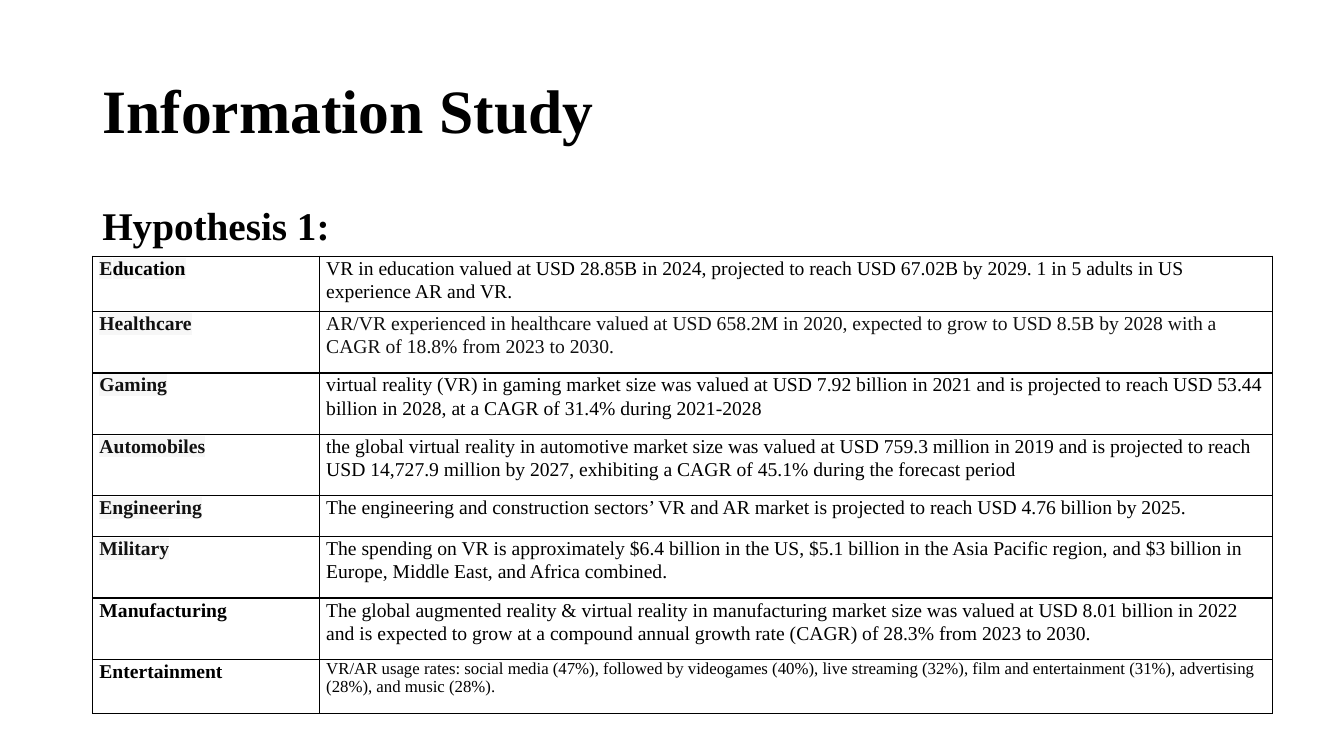
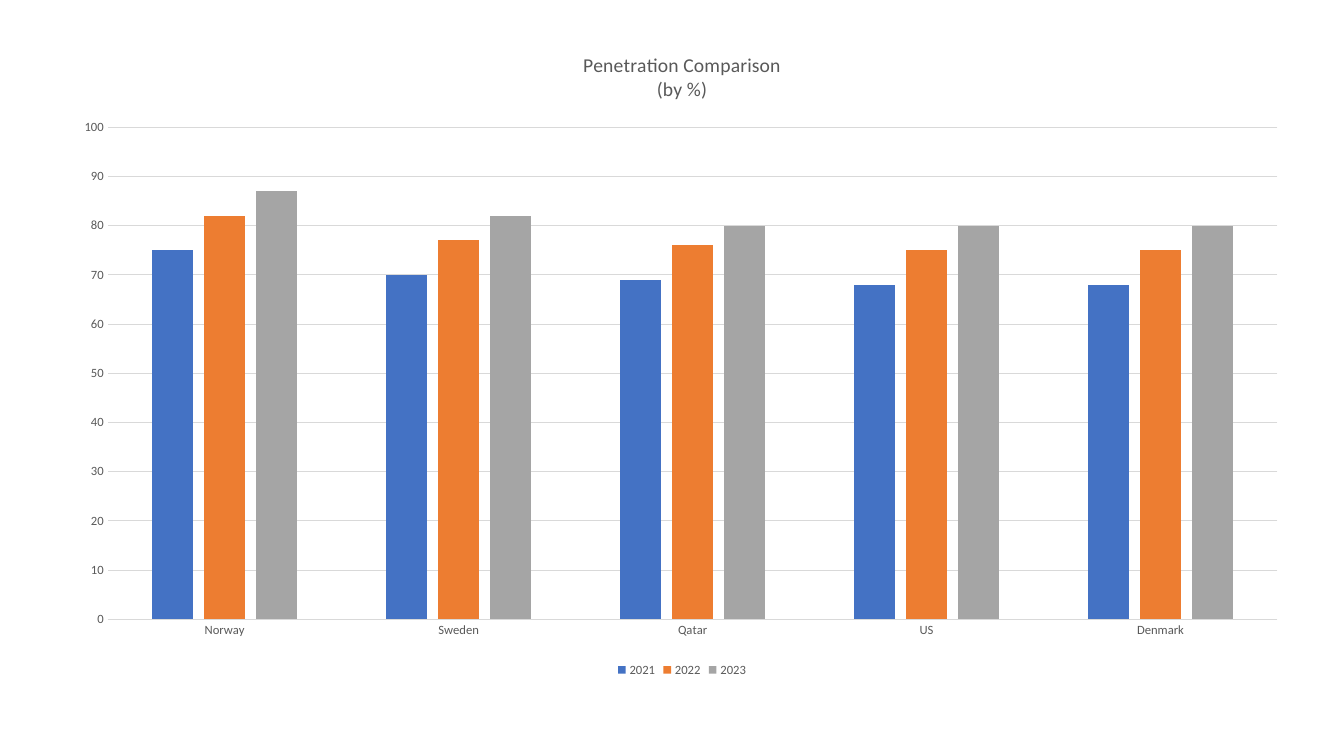
from dataclasses import dataclass

from lxml import etree
from pptx import Presentation
from pptx.chart.data import CategoryChartData
from pptx.dml.color import RGBColor
from pptx.enum.chart import XL_CHART_TYPE, XL_LEGEND_POSITION, XL_TICK_MARK
from pptx.enum.text import MSO_ANCHOR, PP_ALIGN
from pptx.oxml.ns import qn
from pptx.util import Emu, Inches, Pt

COLUMNS, ROWS = 160, 90
UNIT = Inches(7.5) // ROWS
TITLE_ONLY, BLANK = 5, 6
LEFT, MIDDLE = PP_ALIGN.LEFT, MSO_ANCHOR.MIDDLE
CLUSTERED = XL_CHART_TYPE.COLUMN_CLUSTERED
BOTTOM = XL_LEGEND_POSITION.BOTTOM
NO_TICK = XL_TICK_MARK.NONE
SERIF, SANS = "Times New Roman", "Calibri"
BLACK, INK, PALE = "000000", "111111", "F7F7F7"
GREY, RULE = "595959", "D9D9D9"


@dataclass(frozen=True)
class Box:
    left: float
    top: float
    width: float
    height: float

    def emu(self) -> tuple[Emu, ...]:
        return tuple(grid(n) for n in (self.left, self.top, self.width, self.height))


@dataclass(frozen=True)
class Style:
    size: float
    color: str = BLACK
    bold: bool = False
    highlight: str = ""
    font: str = SERIF


@dataclass(frozen=True)
class Sector:
    label: list[tuple[str, Style]]
    finding: str
    height: float = 7.3
    style: Style = Style(14)
    line: float = 1.07
    after: float = 8


@dataclass(frozen=True)
class Year:
    name: str
    values: tuple[float, ...]
    color: str


TITLE_BOX = Box(11, 4.8, 138, 17.4)
HYPOTHESIS_BOX = Box(11, 24, 138, 6.5)
TABLE_LEFT, TABLE_TOP = 11, 30.5
TABLE_COLUMNS = (27, 113.5)
CHART_BOX = Box(7.2, 3.6, 148, 77.5)
PLOT_SHARES = {"x": 0.038, "y": 0.149, "w": 0.941, "h": 0.756}

MARKED = Style(14, INK, True, PALE)
PLAIN = Style(14, BLACK, True)

SECTORS = [
    Sector([("E", MARKED), ("ducation", Style(14, BLACK, True, PALE))],
           "VR in education valued at USD 28.85B in 2024, projected to reach USD 67.02B by 2029. "
           "1 in 5 adults in US experience AR and VR.", 6.6),
    Sector([("Healthcare", MARKED)],
           "AR/VR experienced in healthcare valued at USD 658.2M in 2020, expected to grow to "
           "USD 8.5B by 2028 with a CAGR of 18.8% from 2023 to 2030.", style=Style(14, INK)),
    Sector([("Gaming", MARKED)],
           "virtual reality (VR) in gaming market size was valued at USD 7.92 billion in 2021 and "
           "is projected to reach USD 53.44 billion in 2028, at a CAGR of 31.4% during 2021-2028"),
    Sector([("Automobiles", MARKED)],
           "the global virtual reality in automotive market size was valued at USD 759.3 million "
           "in 2019 and is projected to reach USD 14,727.9 million by 2027, exhibiting a CAGR of "
           "45.1% during the forecast period"),
    Sector([("Engineering", MARKED)],
           "The engineering and construction sectors’ VR and AR market is projected to reach "
           "USD 4.76 billion by 2025.", 4.9),
    Sector([("Military", MARKED)],
           "The spending on VR is approximately $6.4 billion in the US, $5.1 billion in the Asia "
           "Pacific region, and $3 billion in Europe, Middle East, and Africa combined."),
    Sector([("Manufacturing", PLAIN)],
           "The global augmented reality & virtual reality in manufacturing market size was valued "
           "at USD 8.01 billion in 2022 and is expected to grow at a compound annual growth rate "
           "(CAGR) of 28.3% from 2023 to 2030."),
    Sector([("Entertainment", PLAIN)],
           "VR/AR usage rates: social media (47%), followed by videogames (40%), live streaming "
           "(32%), film and entertainment (31%), advertising (28%), and music (28%).",
           6.4, Style(12), 1, 0),
]

COUNTRIES = ["Norway", "Sweden", "Qatar", "US", "Denmark"]
YEARS = [
    Year("2021", (75, 70, 69, 68, 68), "4472C4"),
    Year("2022", (82, 77, 76, 75, 75), "ED7D31"),
    Year("2023", (87, 82, 80, 80, 80), "A5A5A5"),
]


def grid(n: float) -> Emu:
    return Emu(round(n * UNIT))


def rgb(color: str) -> RGBColor:
    return RGBColor.from_string(color)


def set_font(font, style: Style) -> None:
    font.name, font.size, font.bold = style.font, Pt(style.size), style.bold
    font.color.rgb = rgb(style.color)


def add_run(p, text: str, style: Style) -> None:
    r = p.add_run()
    r.text = text
    set_font(r.font, style)
    if style.highlight:
        mark = etree.Element(qn("a:highlight"))
        etree.SubElement(mark, qn("a:srgbClr"), val=style.highlight)
        r.font._element.find(qn("a:solidFill")).addnext(mark)


def add_heading(sp, box: Box, text: str, size: float) -> None:
    sp.left, sp.top, sp.width, sp.height = box.emu()
    tf = sp.text_frame
    tf.word_wrap = True
    p = tf.paragraphs[0]
    p.alignment, p.line_spacing = LEFT, 0.9
    add_run(p, text, Style(size, bold=True))


def set_borders(cell, color: str, points: float) -> None:
    tc_pr = cell._tc.get_or_add_tcPr()
    for side in ("lnL", "lnR", "lnT", "lnB"):
        ln = etree.SubElement(tc_pr, qn(f"a:{side}"), w=str(Pt(points)))
        fill = etree.SubElement(ln, qn("a:solidFill"))
        etree.SubElement(fill, qn("a:srgbClr"), val=color)


def fill_cell(cell, runs: list[tuple[str, Style]], line: float, after: float) -> None:
    cell.margin_left = cell.margin_right = Inches(0.07)
    cell.margin_top = cell.margin_bottom = 0
    set_borders(cell, BLACK, 1)
    cell.fill.background()
    p = cell.text_frame.paragraphs[0]
    p.line_spacing, p.space_after = line, Pt(after)
    for text, style in runs:
        add_run(p, text, style)


def add_sector_table(s) -> None:
    box = Box(TABLE_LEFT, TABLE_TOP, sum(TABLE_COLUMNS), sum(x.height for x in SECTORS))
    table = s.shapes.add_table(len(SECTORS), len(TABLE_COLUMNS), *box.emu()).table
    table.first_row = table.horz_banding = False
    for column, width in zip(table.columns, TABLE_COLUMNS):
        column.width = grid(width)
    for row, sector in zip(table.rows, SECTORS):
        row.height = grid(sector.height)
        fill_cell(row.cells[0], sector.label, 1.07, 8)
        fill_cell(row.cells[1], [(sector.finding, sector.style)], sector.line, sector.after)


def set_plot_layout(chart) -> None:
    plot_area = chart._chartSpace.chart.plotArea
    for old in plot_area.findall(qn("c:layout")):
        plot_area.remove(old)
    layout = etree.Element(qn("c:layout"))
    manual = etree.SubElement(layout, qn("c:manualLayout"))
    etree.SubElement(manual, qn("c:layoutTarget"), val="inner")
    for key in ("x", "y"):
        etree.SubElement(manual, qn(f"c:{key}Mode"), val="edge")
    for key, share in PLOT_SHARES.items():
        etree.SubElement(manual, qn(f"c:{key}"), val=str(share))
    plot_area.insert(0, layout)


def add_penetration_chart(s) -> None:
    data = CategoryChartData()
    data.categories = COUNTRIES
    for year in YEARS:
        data.add_series(year.name, year.values)
    chart = s.shapes.add_chart(CLUSTERED, *CHART_BOX.emu(), data).chart
    set_font(chart.font, Style(10, font=SANS))
    label = Style(9, GREY, font=SANS)

    tf = chart.chart_title.text_frame
    for i, text in enumerate(("Penetration Comparison", "(by %)")):
        p = tf.add_paragraph() if i else tf.paragraphs[0]
        add_run(p, text, Style(14, GREY, font=SANS))
    chart.chart_title.include_in_layout = False

    for axis in (chart.category_axis, chart.value_axis):
        axis.major_tick_mark = axis.minor_tick_mark = NO_TICK
        set_font(axis.tick_labels.font, label)
    value_axis = chart.value_axis
    value_axis.minimum_scale, value_axis.maximum_scale, value_axis.major_unit = 0, 100, 10
    value_axis.format.line.fill.background()
    for line in (chart.category_axis.format.line, value_axis.major_gridlines.format.line):
        line.color.rgb, line.width = rgb(RULE), Pt(0.75)

    plot = chart.plots[0]
    plot.gap_width, plot.overlap, plot.vary_by_categories = 219, -27, False
    for series, year in zip(plot.series, YEARS):
        series.format.fill.solid()
        series.format.fill.fore_color.rgb = rgb(year.color)

    chart.has_legend = True
    chart.legend.position, chart.legend.include_in_layout = BOTTOM, False
    set_font(chart.legend.font, label)
    set_plot_layout(chart)


def build_study(prs) -> None:
    s = prs.slides.add_slide(prs.slide_layouts[TITLE_ONLY])
    add_heading(s.shapes.title, TITLE_BOX, "Information Study", 44)
    s.shapes.title.text_frame.vertical_anchor = MIDDLE
    add_heading(s.shapes.add_textbox(*HYPOTHESIS_BOX.emu()), HYPOTHESIS_BOX, "Hypothesis 1:", 28)
    add_sector_table(s)


def build_comparison(prs) -> None:
    add_penetration_chart(prs.slides.add_slide(prs.slide_layouts[BLANK]))


def main() -> None:
    prs = Presentation()
    prs.slide_width, prs.slide_height = grid(COLUMNS), grid(ROWS)
    build_study(prs)
    build_comparison(prs)
    prs.save("out.pptx")


if __name__ == "__main__":
    main()
